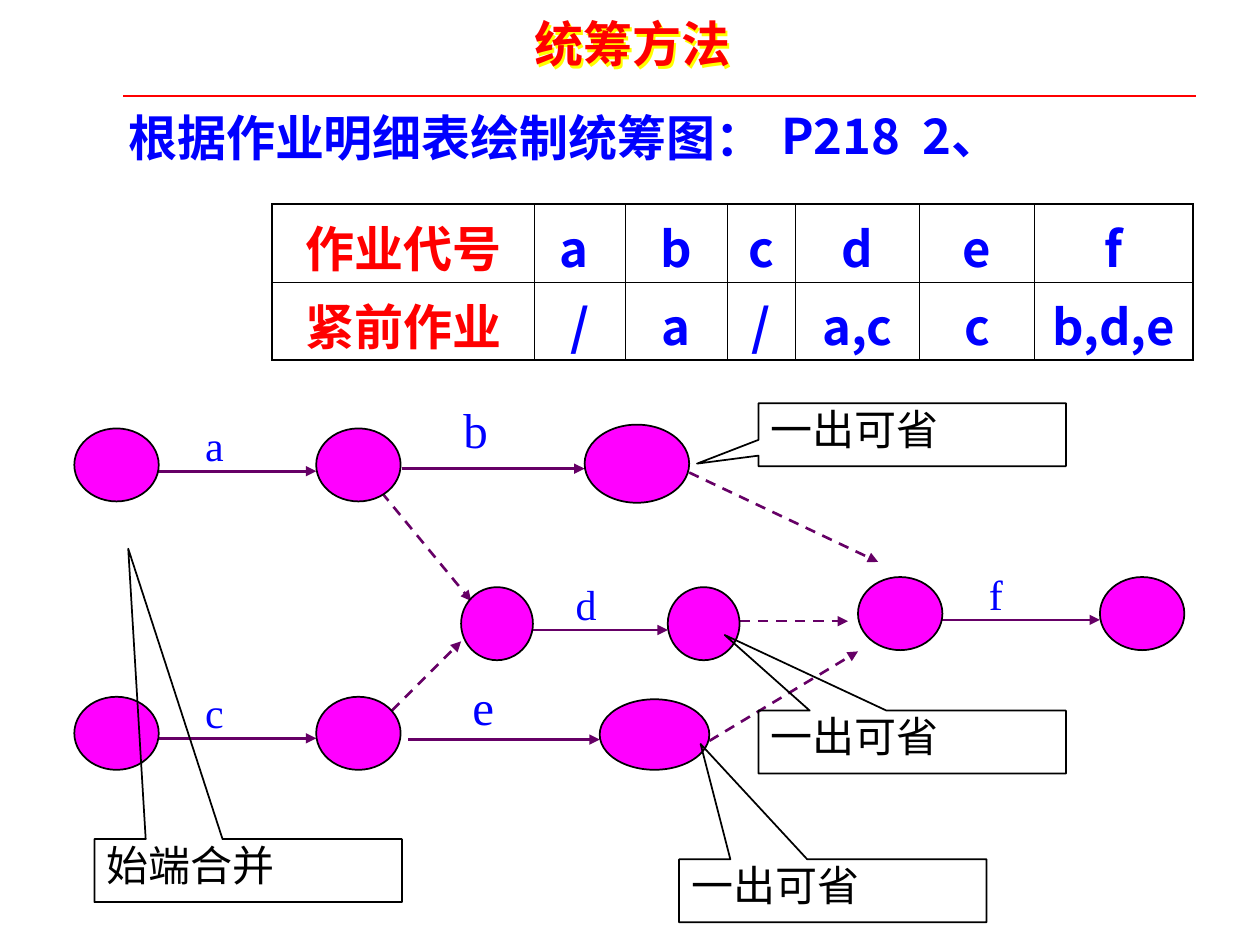
from lxml import etree
from pptx import Presentation
from pptx.dml.color import RGBColor
from pptx.enum.dml import MSO_LINE
from pptx.enum.shapes import MSO_CONNECTOR, MSO_SHAPE
from pptx.enum.text import MSO_ANCHOR, MSO_AUTO_SIZE, PP_ALIGN
from pptx.oxml import parse_xml
from pptx.oxml.ns import nsdecls, qn
from pptx.util import Inches, Pt

STRAIGHT = MSO_CONNECTOR.STRAIGHT
OVAL = MSO_SHAPE.OVAL
CALLOUT = MSO_SHAPE.RECTANGULAR_CALLOUT
DASH = MSO_LINE.DASH
TOP, MIDDLE = MSO_ANCHOR.TOP, MSO_ANCHOR.MIDDLE
LEFT, CENTER = PP_ALIGN.LEFT, PP_ALIGN.CENTER
FIXED = MSO_AUTO_SIZE.NONE

HEX = {"red": "FF0000", "blue": "0000FF", "pink": "FF00FF",
       "plum": "660066", "black": "000000", "yellow": "FFFF00"}
COLOR = {name: RGBColor.from_string(code) for name, code in HEX.items()}
SANS, SERIF = "Noto Sans CJK SC", "Times New Roman"


def write(frame, text, size, font, color, bold=False, align=LEFT):
    frame.text = text
    frame.word_wrap = True
    para = frame.paragraphs[0]
    para.alignment = align
    for run in para.runs:
        run.font.size = Pt(size)
        run.font.bold = bold
        run.font.color.rgb = COLOR[color]
        run.font.name = font
        east = etree.SubElement(run.font._element, qn("a:ea"))
        east.set("typeface", SANS)


def link(ends, color, width, arrow=True, dashed=False):
    line = slide.shapes.add_connector(STRAIGHT, *[Inches(v) for v in ends])
    line.line.color.rgb = COLOR[color]
    line.line.width = Pt(width)
    if dashed:
        line.line.dash_style = DASH
    if arrow:
        tail = etree.SubElement(line.line._get_or_add_ln(), qn("a:tailEnd"))
        tail.set("type", "triangle")
    etree.SubElement(line._element.spPr, qn("a:effectLst"))


deck = Presentation()
deck.slide_width, deck.slide_height = Inches(10), Inches(7.5)
slide = deck.slides.add_slide(deck.slide_layouts[5])

# Title with a yellow text shadow, and the rule below it
title = slide.shapes.title
title.left, title.top = Inches(4.14), Inches(0.11)
title.width, title.height = Inches(1.95), Inches(0.57)
frame = title.text_frame
write(frame, "统筹方法", 28, SANS, "red", bold=True)
frame.auto_size, frame.vertical_anchor, frame.margin_top = FIXED, TOP, 0
title.fill.background()
title._element.spPr.append(parse_xml(
    f'<a:effectLst {nsdecls("a")}><a:outerShdw dist="25400" dir="2700000">'
    f'<a:srgbClr val="{HEX["yellow"]}"/></a:outerShdw></a:effectLst>'))
link((0.98, 0.76, 9.49, 0.76), "red", 1, arrow=False)

# Task line
for text, left, top, width, font in [
        ("根据作业明细表绘制统筹图：", 0.92, 0.85, 6.77, SERIF),
        ("P218  2、", 6.1, 0.84, 2.21, SANS)]:
    box = slide.shapes.add_textbox(Inches(left), Inches(top), Inches(width), Inches(0.57))
    write(box.text_frame, text, 28, font, "blue", bold=True)
    box.text_frame.margin_top = 0

# Job table: thick outer border, thin inner lines
rows = [["作业代号", "a ", "b", "c", "d", "e", "f"],
        ["紧前作业", "/", "a", "/", "a,c", "c", "b,d,e"]]
widths = [2.08, 0.72, 0.81, 0.54, 0.99, 0.91, 1.26]
table = slide.shapes.add_table(2, 7, Inches(2.16), Inches(1.62),
                               Inches(sum(widths)), Inches(1.24)).table
table.first_row = table.horz_banding = False
for col, width in zip(table.columns, widths):
    col.width = Inches(width)
for r, row in enumerate(rows):
    table.rows[r].height = Inches(0.62)
    for c, text in enumerate(row):
        cell = table.cell(r, c)
        write(cell.text_frame, text, 28, SANS, "blue" if c else "red", True, CENTER)
        cell.vertical_anchor = MIDDLE
        cell.margin_top, cell.margin_bottom = Inches(0.05), 0
        outer = {"L": c == 0, "R": c == len(row) - 1, "T": r == 0, "B": r == 1}
        for side, edge in outer.items():
            width = Pt(1.08 if edge else 0.45)
            cell._tc.get_or_add_tcPr().append(parse_xml(
                f'<a:ln{side} {nsdecls("a")} w="{width}"><a:solidFill>'
                f'<a:srgbClr val="{HEX["black"]}"/></a:solidFill></a:ln{side}>'))
        cell.fill.background()

# Jobs as solid arrows, dummy jobs as dashed arrows
jobs = [(1.17, 3.74, 2.51, 3.74), (3.19, 3.72, 4.64, 3.72),
        (1.17, 5.86, 2.51, 5.86), (4.16, 5, 5.3, 5),
        (3.24, 5.87, 4.76, 5.87), (7.39, 4.92, 8.73, 4.92)]
dummies = [(3.03, 3.91, 3.74, 4.77), (3.11, 5.64, 3.66, 5.09),
           (5.47, 3.75, 6.97, 4.46), (5.87, 4.93, 6.73, 4.93),
           (5.63, 5.88, 6.81, 5.17)]
for ends in jobs:
    link(ends, "plum", 1.5)
for ends in dummies:
    link(ends, "plum", 1.5, dashed=True)

# Event nodes
nodes = [(0.59, 3.4, 0.67, 0.58), (2.51, 3.4, 0.67, 0.58), (4.64, 3.37, 0.83, 0.62),
         (0.59, 5.53, 0.67, 0.58), (2.51, 5.53, 0.67, 0.58), (4.76, 5.55, 0.87, 0.56),
         (3.66, 4.66, 0.57, 0.58), (5.3, 4.66, 0.57, 0.58),
         (6.81, 4.58, 0.67, 0.58), (8.73, 4.58, 0.67, 0.58)]
for place in nodes:
    node = slide.shapes.add_shape(OVAL, *[Inches(v) for v in place])
    node.shadow.inherit = False
    node.fill.solid()
    node.fill.fore_color.rgb = COLOR["pink"]
    node.line.color.rgb = COLOR["black"]
    node.line.width = Pt(1)

# Job names
for text, left, top, width, height, size in [
        ("a", 1.53, 3.28, 0.31, 0.5, 24), ("b", 3.58, 3.12, 0.39, 0.57, 28),
        ("c", 1.53, 5.4, 0.31, 0.5, 24), ("d", 4.47, 4.54, 0.27, 0.5, 24),
        ("e", 3.65, 5.32, 0.37, 0.57, 28), ("f", 7.75, 4.46, 0.31, 0.5, 24)]:
    box = slide.shapes.add_textbox(Inches(left), Inches(top), Inches(width), Inches(height))
    write(box.text_frame, text, size, SERIF, "blue")

# Callouts: place, then the tip as a share of the box size
for text, left, top, tip in [
        ("始端合并", 0.75, 6.66, (-0.39, -5.11)),
        ("一出可省", 5.39, 6.82, (-0.43, -2.33)),
        ("一出可省", 6.02, 5.64, (-0.61, -1.7)),
        ("一出可省", 6.02, 3.2, (-0.7, 0.46))]:
    note = slide.shapes.add_shape(CALLOUT, Inches(left), Inches(top), Inches(2.44), Inches(0.5))
    note.adjustments[0], note.adjustments[1] = tip
    note.shadow.inherit = False
    note.fill.background()
    note.line.color.rgb = COLOR["black"]
    note.line.width = Pt(1)
    write(note.text_frame, text, 24, "Arial", "black")
    note.text_frame.vertical_anchor = TOP
    note.text_frame.margin_top = 0

deck.save("out.pptx")
